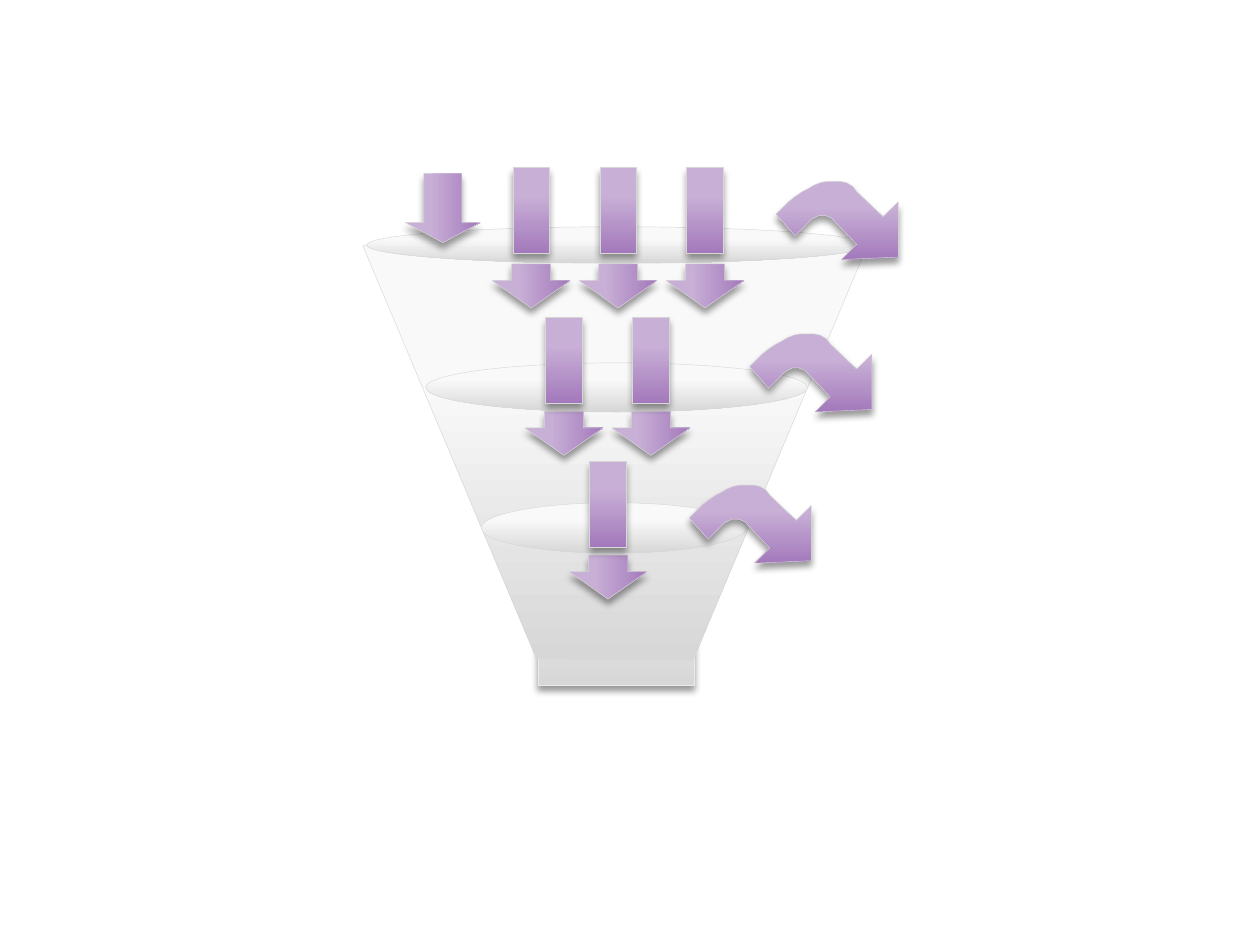
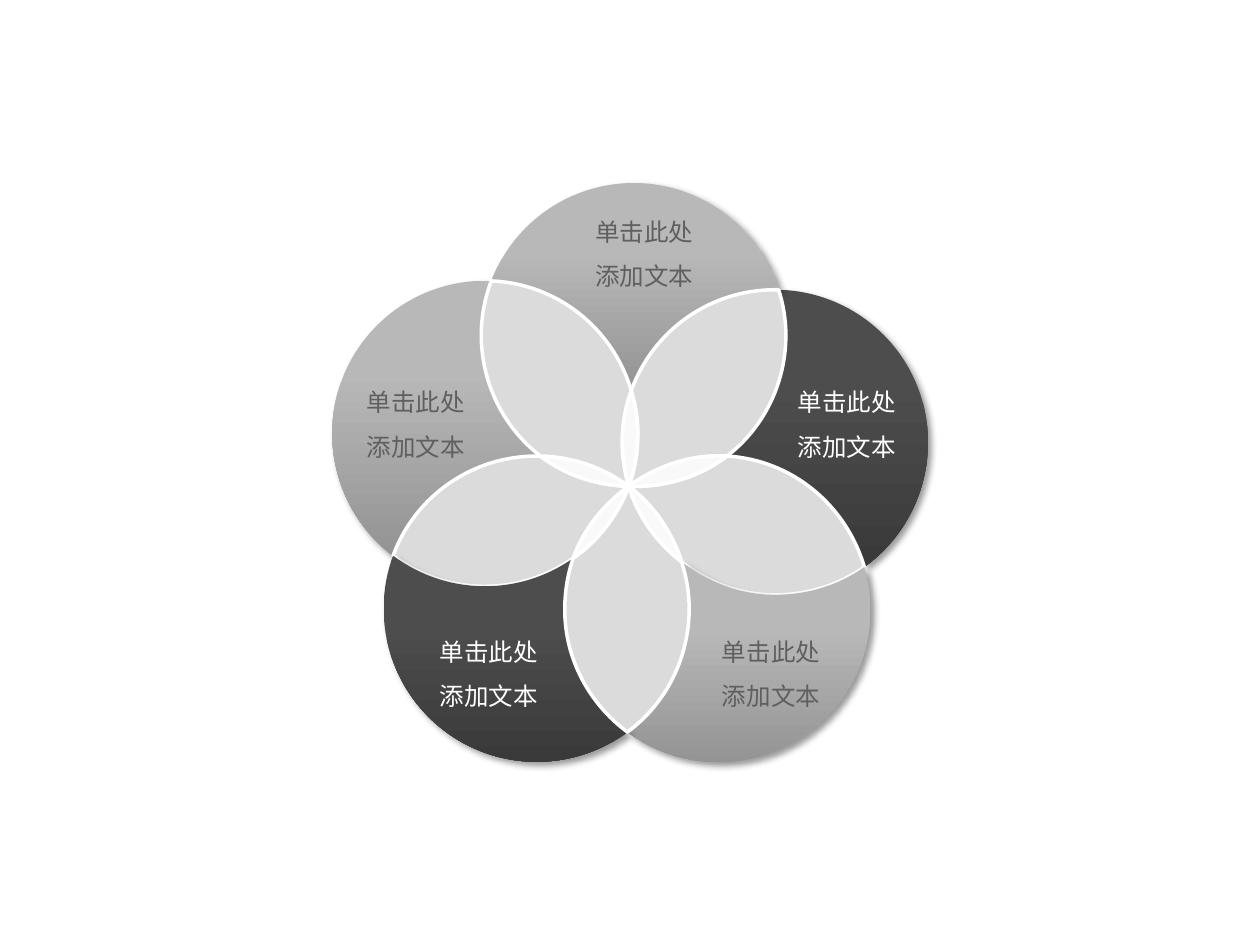
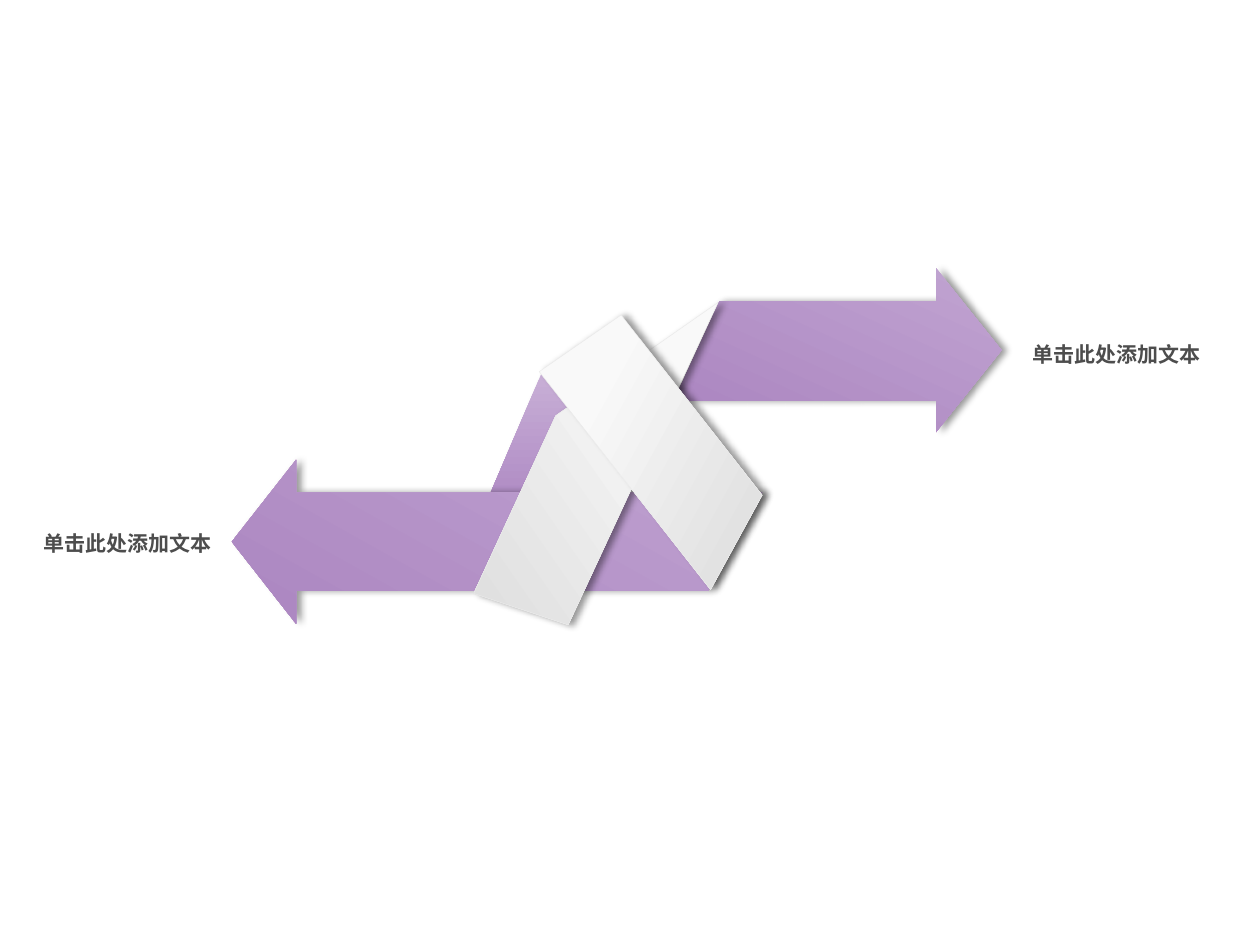
import math
from dataclasses import dataclass
from typing import Any

from lxml import etree
from pptx import Presentation
from pptx import util as u
from pptx.dml.color import RGBColor
from pptx.enum import shapes as kinds, text
from pptx.oxml import ns

PX = 9144  # EMU per px, 100 px to the inch
FONT = "Noto Sans CJK SC"
LABEL = "单击此处添加文本"
KIND = kinds.MSO_SHAPE
ALIGN = text.PP_ALIGN

# Gradients: start of the blend in percent, first colour, last colour
SILVER = (33, "F9F9F9", "D7D7D7")
PURPLE = (33, "C8AFD6", "A379BB")
RIBBON = (0, "C8AFD6", "A379BB")
DARK = (33, "4D4D4D", "3A3A3A")
GREY = (33, "B8B8B8", "949494")
# Lines: colour, width in points
HAIRLINE = ("D7D7D7", 0.25)
PALE_LINE = ("EAEAEA", 0.25)
WHITE_LINE = ("FFFFFF", 2)
# Shadow directions in degrees
DOWN, DIAGONAL, RIGHT = 90, 45, 0


def rgb(value):
    return RGBColor.from_string(value)


def emu(px):
    return u.Emu(round(px * PX))


def rotate(point, degrees):
    x, y = point
    cosine, sine = math.cos(math.radians(degrees)), math.sin(math.radians(degrees))
    return x * cosine - y * sine, x * sine + y * cosine


def set_fill(shape, fill):
    if isinstance(fill, str):
        shape.fill.solid()
        shape.fill.fore_color.rgb = rgb(fill)
        return
    start, *colours = fill
    shape.fill.gradient()
    shape.fill.gradient_angle = 270  # top to bottom
    for stop, position, colour in zip(shape.fill.gradient_stops, (start / 100, 1), colours):
        stop.position = position
        stop.color.rgb = rgb(colour)


def set_shadow(shape, direction):
    shape.shadow.inherit = False
    if direction is None:
        return
    effects = shape._element.spPr.find(ns.qn("a:effectLst"))
    shadow = etree.SubElement(effects, ns.qn("a:outerShdw"), blurRad=str(u.Pt(4)),
                              dist=str(u.Pt(3)), dir=str(direction * 60000), rotWithShape="0")
    colour = etree.SubElement(shadow, ns.qn("a:srgbClr"), val="000000")
    etree.SubElement(colour, ns.qn("a:alpha"), val="40000")


def paint(shape, fill, line=None, shadow=None):
    set_fill(shape, fill)
    if line:
        shape.line.color.rgb = rgb(line[0])
        shape.line.width = u.Pt(line[1])
    else:
        shape.line.fill.background()
    set_shadow(shape, shadow)


def bend(shape):
    """Turn every three line segments of a freeform into one cubic curve."""
    lines = list(shape._element.spPr.iter(ns.qn("a:lnTo")))
    for first in range(0, len(lines), 3):
        curve = etree.Element(ns.qn("a:cubicBezTo"))
        lines[first].addprevious(curve)
        for line in lines[first:first + 3]:
            curve.append(line[0])
            line.getparent().remove(line)


@dataclass
class Region:
    """Part of a slide whose contents are placed from its own top left corner."""
    shapes: Any
    left: int
    top: int

    def preset(self, kind, x, y, width, height, **look):
        shape = self.shapes.add_shape(kind, emu(self.left + x), emu(self.top + y),
                                      emu(width), emu(height))
        paint(shape, **look)
        return shape

    def outline(self, points, turn=0, **look):
        """Closed outline; turn rotates its frame, and so its gradient."""
        corners = [rotate(((self.left + x) * PX, (self.top + y) * PX), -turn)
                   for x, y in points]
        builder = self.shapes.build_freeform(*corners[0])
        builder.add_line_segments(corners[1:])
        shape = builder.convert_to_shape()
        if turn:
            middle = (shape.left + shape.width / 2, shape.top + shape.height / 2)
            x, y = rotate(middle, turn)
            shape.left = round(x - shape.width / 2)
            shape.top = round(y - shape.height / 2)
            shape.rotation = turn
        paint(shape, **look)
        return shape

    def label(self, x, y, width, height, colour, align, spacing, **font):
        box = self.shapes.add_textbox(emu(self.left + x), emu(self.top + y),
                                      emu(width), emu(height))
        box.text_frame.word_wrap = True
        box.text_frame.auto_size = text.MSO_AUTO_SIZE.SHAPE_TO_FIT_TEXT
        paragraph = box.text_frame.paragraphs[0]
        paragraph.alignment = align
        paragraph.line_spacing = spacing
        run = paragraph.add_run()
        run.text = LABEL
        for name, value in {"name": FONT, **font}.items():
            setattr(run.font, name, value)
        run.font.color.rgb = rgb(colour)
        etree.SubElement(run._r.get_or_add_rPr(), ns.qn("a:ea"), typeface=FONT)


# Funnel
SWIRL = [(97, 16), (97, 60), (52, 62), (64, 50), (44, 29), (39, 27), (34, 27), (28, 30),
         (22, 36), (15, 43), (0, 26), (10, 16), (15, 12), (21, 8), (25, 6), (30, 3),
         (35, 1), (40, 0), (46, 0), (51, 0), (56, 1), (61, 4), (64, 8), (85, 28)]
STEM_GAP = 69


def draw_funnel(region):
    purple = {"fill": PURPLE, "line": HAIRLINE, "shadow": DOWN}
    silver = {"fill": SILVER, "line": HAIRLINE}

    def down_arrow(x, y, width, height, head):
        arrow = region.preset(KIND.RIGHT_ARROW, x, y, width, height, **purple)
        arrow.adjustments[0], arrow.adjustments[1] = 0.5, head
        arrow.rotation = 270
        arrow._element.spPr.xfrm.set("flipH", "1")

    # Spout, cone and rims
    region.preset(KIND.RECTANGLE, 139, 240, 124, 171,
                  fill=SILVER, line=PALE_LINE, shadow=DOWN)
    region.outline([(0, 62), (138, 390), (262, 391), (400, 63)], **silver)
    for rim in ((3, 47, 398, 29), (50, 155, 303, 39), (94, 266, 210, 40)):
        region.preset(KIND.OVAL, *rim, **silver)
    # Arrows that leave the funnel
    for left, top in ((307, 132), (259, 252), (328, 11)):
        region.outline([(left + x, top + y) for x, y in SWIRL], **purple)
    # Arrows that fall through it
    down_arrow(36, 2, 55, 60, 0.29)
    for count, left, top, drop in ((3, 119, 0, 63), (2, 145, 119, 61), (1, 180, 233, 61)):
        for column in range(count):
            x = left + column * STEM_GAP
            down_arrow(x - 3, top + drop, 35, 62, 0.625)
            region.preset(KIND.RECTANGLE, x, top, 29, 68, **purple)


# Flower: five circles, clockwise from the top, that meet in the heart
HEART = (235, 241)
CENTRES = [(239, 121), (351, 206), (306, 339), (162, 338), (121, 199)]
TIPS = [(354, 85), (422, 305), (234, 436), (48, 296), (126, 78)]  # circle i meets i + 1
CUSPS = [(237, 165), (313, 217), (277, 301), (191, 298), (165, 217)]  # i - 1 meets i + 1
PETAL_FILLS = [GREY, DARK, GREY, DARK, GREY]
PETAL_LABELS = [(191, 11, 113), (358, 146, 100), (295, 344, 106), (72, 344, 104),
                (8, 146, 116)]


def arc(circle, start, end):
    """Curve points of the shorter arc, cut where it is level or upright."""
    centre_x, centre_y = CENTRES[circle % 5]
    (first, first_radius), (last, last_radius) = (
        (math.atan2(y - centre_y, x - centre_x), math.hypot(x - centre_x, y - centre_y))
        for x, y in (start, end))
    sweep = math.remainder(last - first, math.tau)
    low, high = sorted((first, first + sweep))
    quarter = math.pi / 2
    cuts = [n * quarter for n in range(-4, 5) if low < n * quarter < high]
    turns = sorted([low, *cuts, high], reverse=sweep < 0)

    def at(turn, reach=0):
        """Point on the arc, moved along its tangent by reach radii."""
        radius = first_radius + (turn - first) / sweep * (last_radius - first_radius)
        x, y = rotate((radius, reach * radius), math.degrees(turn))
        return centre_x + x, centre_y + y

    for turn, following in zip(turns, turns[1:]):
        reach = 4 / 3 * math.tan((following - turn) / 4)
        yield from (at(turn, reach), at(following, -reach), at(following))


def draw_flower(region):
    def arcs(*sides, **look):
        """Closed outline from pairs of corner and the circle followed from it."""
        following = sides[1:] + sides[:1]
        points = [point for (corner, circle), (end, _) in zip(sides, following)
                  for point in arc(circle, corner, end)]
        bend(region.outline([sides[0][0], *points], **look))

    def petal(i):
        arcs((TIPS[i - 1], i), (TIPS[i], i + 1), (CUSPS[i], i - 1),
             fill=PETAL_FILLS[i], shadow=DIAGONAL)

    def lens(i):
        arcs((TIPS[i], i + 1), (CUSPS[i], i - 1), (HEART, i + 2), (CUSPS[(i + 1) % 5], i),
             fill="DBDBDB", line=WHITE_LINE)

    def sliver(i):
        arcs((CUSPS[i], i - 1), (HEART, i + 1), fill="F9F9F9", line=WHITE_LINE)

    for draw, i in ((petal, 1), (lens, 1), (petal, 2), (petal, 0), (lens, 0), (petal, 4),
                    (lens, 3), (petal, 3), (lens, 2), (sliver, 2), (sliver, 4), (sliver, 1),
                    (sliver, 0), (sliver, 3), (lens, 4)):
        draw(i)
    for (x, y, width), fill in zip(PETAL_LABELS, PETAL_FILLS):
        region.label(x, y, width, 77, "FFFFFF" if fill == DARK else "5F5F5F",
                     ALIGN.CENTER, 1.5, size=u.Pt(14))


# Ribbon with an arrow at each end
BACK_FOLD = [(406, 106), (501, 106), (436, 256), (354, 256), (354, 228)]
LEFT_ARROW = [(211, 175), (211, 201), (581, 201), (576, 212), (538, 279), (211, 279),
              (211, 305), (160, 240)]
RIGHT_ARROW = [(719, 23), (771, 88), (719, 153), (719, 128), (511, 128), (547, 49),
               (719, 49)]
LOWER_FOLD = [(546, 50), (427, 306), (352, 281), (417, 140)]
FRONT_FOLD = [(469, 60), (581, 203), (540, 278), (404, 105)]


def draw_ribbon(region):
    for points, turn in ((BACK_FOLD, 0), (LEFT_ARROW, 29.2), (RIGHT_ARROW, 24.5)):
        region.outline(points, turn, fill=RIBBON, shadow=RIGHT)
    for points, turn in ((LOWER_FOLD, 55.2), (FRONT_FOLD, 298.8)):
        region.outline(points, turn, fill=SILVER, line=PALE_LINE, shadow=RIGHT)
    for x, y, width, align in ((786, 72, 166, ALIGN.LEFT), (0, 222, 154, ALIGN.RIGHT)):
        region.label(x, y, width, 32, "4D4D4D", align, 1.2, size=u.Pt(12), bold=True)


def main():
    presentation = Presentation()
    presentation.slide_width, presentation.slide_height = emu(1000), emu(750)
    blank = presentation.slide_layouts[6]
    for draw, left, top, grouped in ((draw_funnel, 288, 133, False),
                                     (draw_flower, 264, 145, True),
                                     (draw_ribbon, 24, 190, True)):
        shapes = presentation.slides.add_slide(blank).shapes
        draw(Region(shapes.add_group_shape().shapes if grouped else shapes, left, top))
    presentation.save("out.pptx")


if __name__ == "__main__":
    main()
